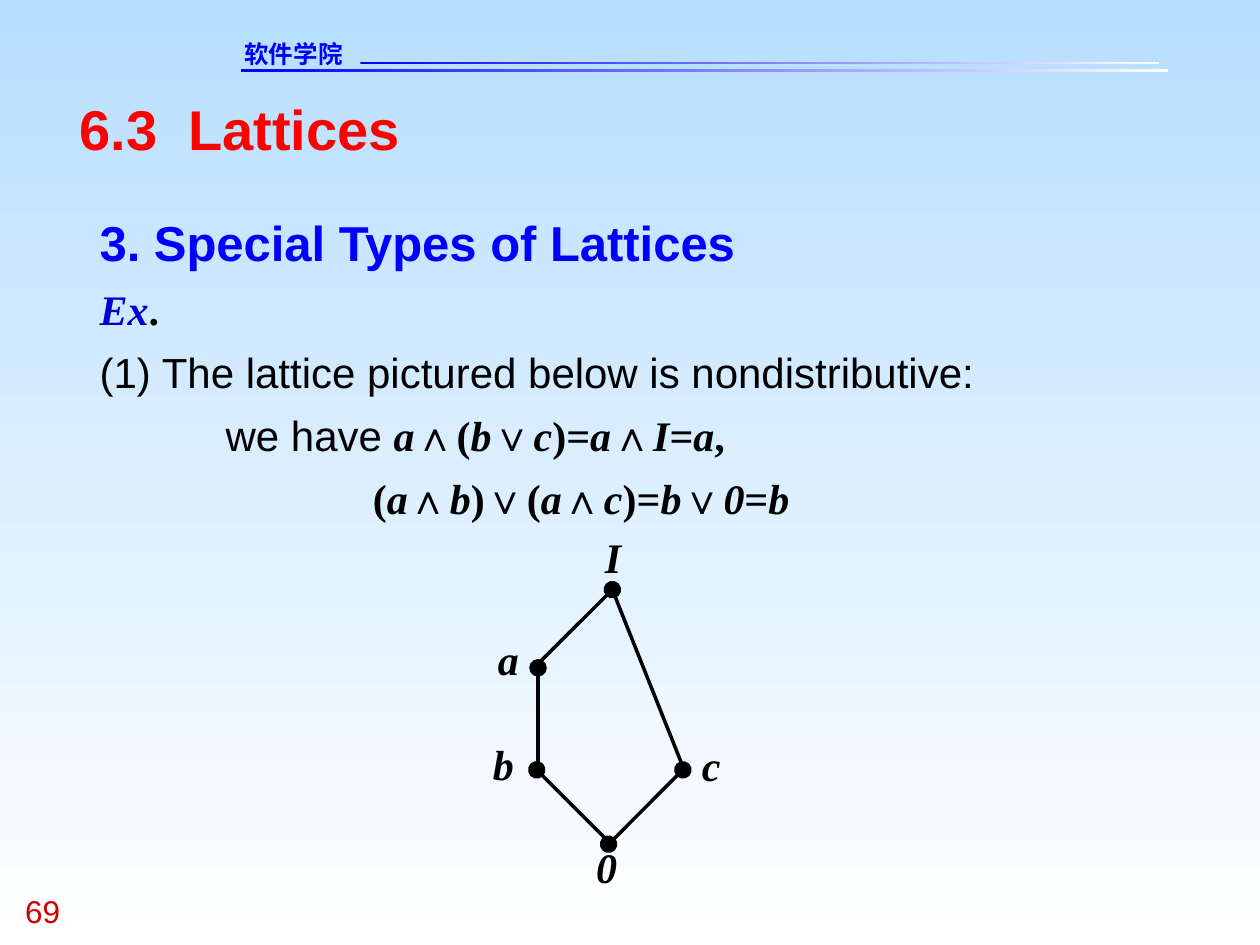
"""Build a lecture slide on nondistributive lattices."""
from itertools import groupby

from lxml import etree
from pptx import Presentation
from pptx.dml.color import RGBColor
from pptx.enum import shapes, text
from pptx.oxml import ns
from pptx.util import Inches, Pt

BLUE = RGBColor(0x00, 0x00, 0xFF)
DARK_BLUE = RGBColor(0x00, 0x00, 0xCC)
RED = RGBColor(0xFF, 0x00, 0x00)
DARK_RED = RGBColor(0xCC, 0x00, 0x00)
BLACK = RGBColor(0x00, 0x00, 0x00)
WHITE = RGBColor(0xFF, 0xFF, 0xFF)
SKY = RGBColor(0xB7, 0xDE, 0xFF)

SANS, SERIF, CJK = "Arial", "Times New Roman", "DejaVu Sans"


def fill_gradient(fill, start, end, angle):
    """Fill with a two-colour linear gradient."""
    fill.gradient()
    fill.gradient_angle = angle
    for stop, color in zip(fill.gradient_stops, (start, end)):
        stop.color.rgb = color


def add_rule(slide, left, top, width):
    """Draw a thin header rule fading from blue to white."""
    rule = slide.shapes.add_shape(
        shapes.MSO_SHAPE.RECTANGLE,
        Inches(left), Inches(top), Inches(width), Inches(0.02))
    rule.shadow.inherit = False
    rule.line.fill.background()
    fill_gradient(rule.fill, BLUE, WHITE, 0)


def add_frame(slide, left, top, width, height, wrap=True):
    """Add a text box without margins and return its text frame."""
    box = slide.shapes.add_textbox(
        Inches(left), Inches(top), Inches(width), Inches(height))
    frame = box.text_frame
    frame.margin_left = frame.margin_right = 0
    frame.margin_top = frame.margin_bottom = 0
    frame.word_wrap = wrap
    return frame


def add_run(paragraph, words, size, font, color=BLACK, bold=False, italic=False):
    """Append one formatted run."""
    run = paragraph.add_run()
    run.text = words
    run.font.size = Pt(size)
    run.font.name = font
    run.font.color.rgb = color
    run.font.bold = bold
    run.font.italic = italic


def add_formula(paragraph, formula):
    """Append a formula with italic letters and sans-serif operators."""
    def style(char):
        return (SANS if char in "∧∨" else SERIF), char.isalnum()

    for (font, italic), chars in groupby(formula, style):
        add_run(paragraph, "".join(chars), 24, font, bold=True, italic=italic)


def add_body(slide):
    """Write the heading and the worked example."""
    frame = add_frame(slide, 0.79, 1.57, 8.68, 2.48)
    heading = frame.paragraphs[0]
    example, claim, first_side, second_side = (
        frame.add_paragraph() for _ in range(4))
    for paragraph in frame.paragraphs:
        paragraph.line_spacing = 1.25
    add_run(heading, "3. Special Types of Lattices", 28, SANS, BLUE, bold=True)
    add_run(example, "Ex", 24, SERIF, DARK_BLUE, bold=True, italic=True)
    add_run(example, ".", 24, SERIF, bold=True)
    add_run(claim, "(1) The lattice pictured below is nondistributive:", 24, SANS)
    add_run(first_side, "we have ", 24, SANS)
    add_formula(first_side, "a∧(b∨c)=a∧I=a,")
    add_formula(second_side, "(a∧b)∨(a∧c)=b∨0=b")
    for paragraph, indent in ((first_side, 1), (second_side, 2.17)):
        paragraph._p.get_or_add_pPr().set("marL", str(Inches(indent)))


def add_edge(slide, start, end, dots):
    """Join two lattice elements, with round dots at the named line ends."""
    edge = slide.shapes.add_connector(
        shapes.MSO_CONNECTOR.STRAIGHT, *map(Inches, start + end))
    edge.line.color.rgb = BLACK
    edge.line.width = Pt(2)
    outline = edge.line._get_or_add_ln()
    for dot in dots:
        etree.SubElement(outline, ns.qn(f"a:{dot}"), type="oval", w="lg", len="lg")
    etree.SubElement(edge._element.spPr, ns.qn("a:effectLst"))


def add_diagram(slide):
    """Draw the five-element lattice with its labels."""
    edges = (
        ((4.83, 6.70), (5.42, 6.11), ("headEnd", "tailEnd")),
        ((4.85, 6.70), (4.26, 6.11), ("tailEnd",)),
        ((4.27, 6.09), (4.27, 5.30), ("tailEnd",)),
        ((4.27, 5.27), (4.86, 4.68), ("tailEnd",)),
        ((5.41, 6.06), (4.86, 4.68), ()),
    )
    for start, end, dots in edges:
        add_edge(slide, start, end, dots)
    labels = (
        ("I", 4.80, 4.22, 0.13),
        ("a", 3.95, 5.03, 0.17),
        ("b", 3.91, 5.86, 0.17),
        ("c", 5.57, 5.87, 0.15),
        ("0", 4.73, 6.68, 0.17),
    )
    for element, left, top, width in labels:
        label = add_frame(slide, left, top, width, 0.4, wrap=False).paragraphs[0]
        label.alignment = text.PP_ALIGN.CENTER
        add_run(label, element, 24, SERIF, bold=True, italic=True)


def add_header(slide):
    """Add the school name, header rules, title and page number."""
    add_rule(slide, 1.91, 0.55, 7.36)
    add_rule(slide, 2.86, 0.49, 6.34)
    school = add_frame(slide, 1.94, 0.31, 1.45, 0.23).paragraphs[0]
    add_run(school, "软件学院", 14, CJK, BLUE, bold=True)
    title = add_frame(slide, 0.63, 0.75, 8.75, 0.53).paragraphs[0]
    add_run(title, "6.3  Lattices", 32, SANS, RED, bold=True)
    page = add_frame(slide, 0.2, 7.08, 0.75, 0.3).paragraphs[0]
    add_run(page, "69", 18, SANS, DARK_RED)


def main():
    """Assemble and save the slide."""
    deck = Presentation()
    deck.slide_width, deck.slide_height = Inches(10), Inches(7.5)
    slide = deck.slides.add_slide(deck.slide_layouts[6])
    fill_gradient(slide.background.fill, SKY, WHITE, 270)
    add_header(slide)
    add_body(slide)
    add_diagram(slide)
    deck.save("out.pptx")


if __name__ == "__main__":
    main()
